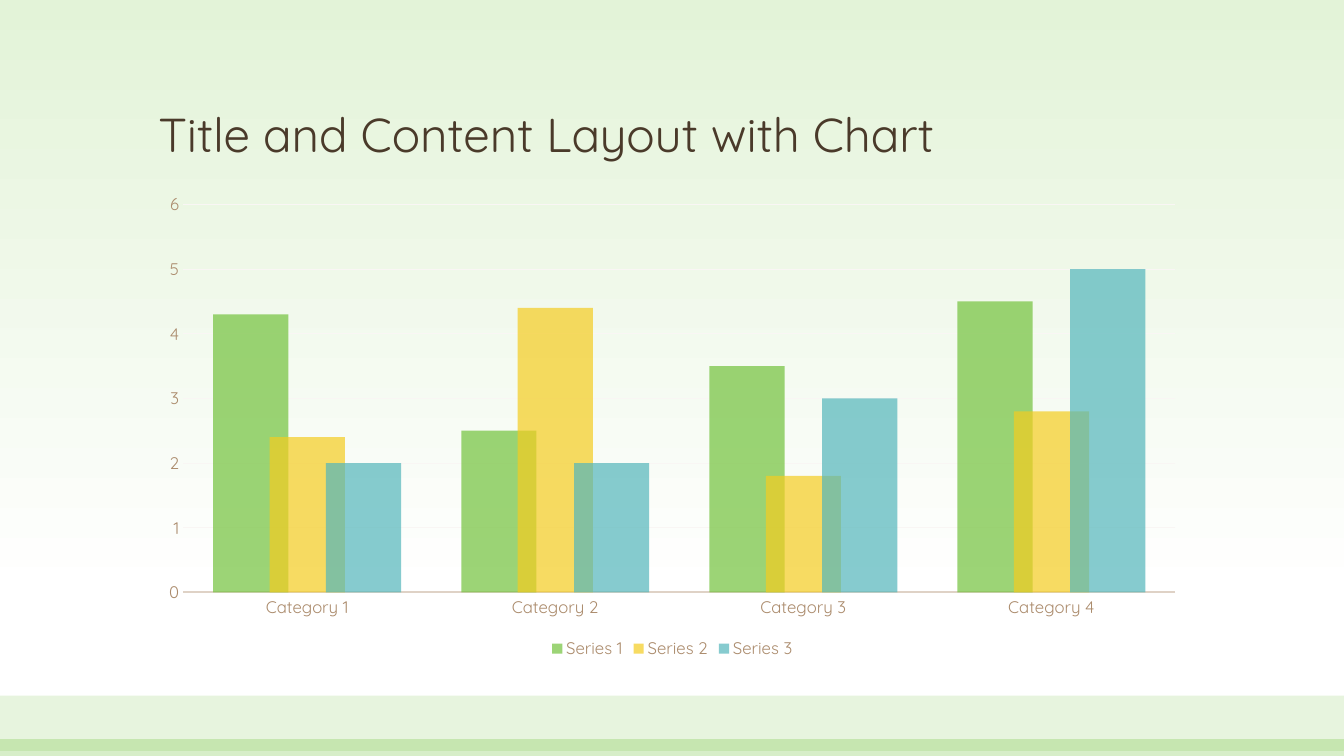
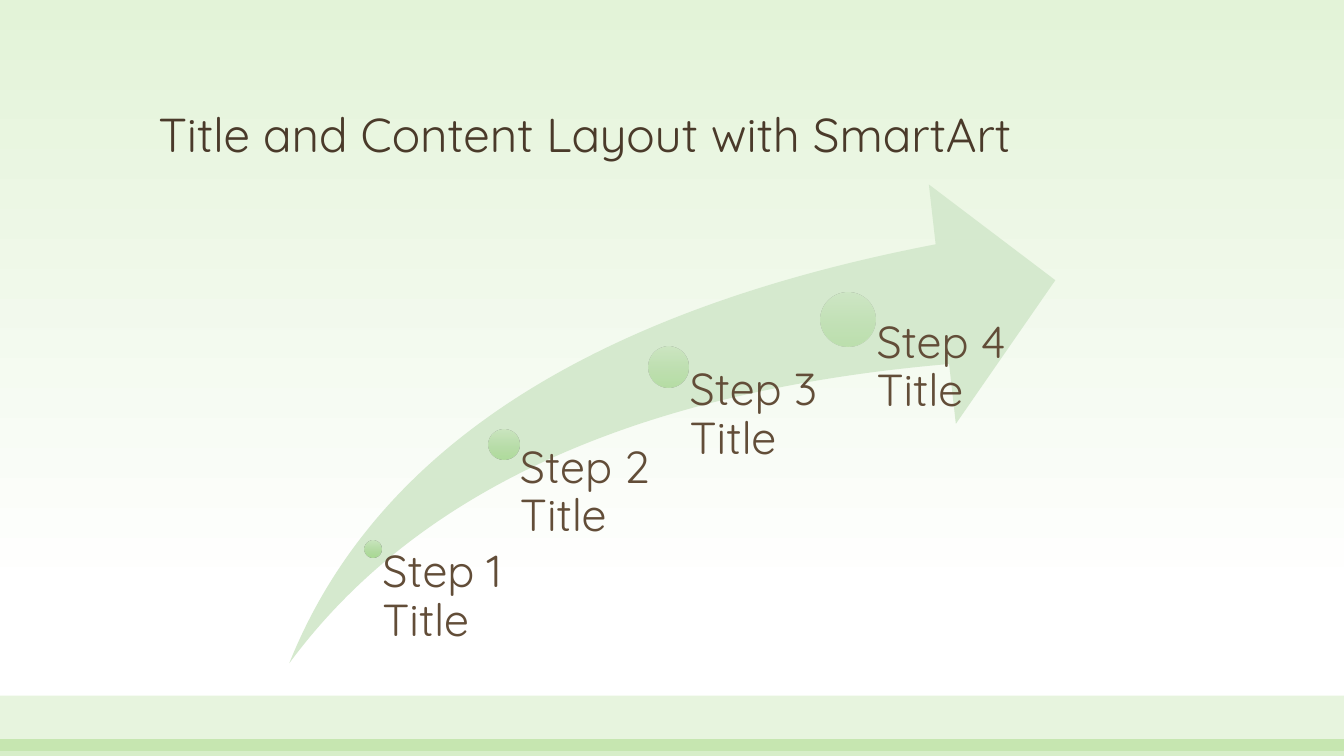
from lxml.etree import SubElement
from pptx import Presentation
from pptx.chart.data import CategoryChartData
from pptx.dml.color import RGBColor
from pptx.enum.chart import XL_CHART_TYPE as ChartType
from pptx.enum.chart import XL_LEGEND_POSITION as LegendPosition
from pptx.enum.chart import XL_TICK_MARK as TickMark
from pptx.enum.shapes import MSO_SHAPE as Preset
from pptx.enum.text import MSO_ANCHOR as Anchor
from pptx.enum.text import MSO_AUTO_SIZE as AutoSize
from pptx.enum.text import PP_ALIGN as Align
from pptx.oxml.ns import qn
from pptx.util import Pt

COLORS = {
    "title": "4A3A2A", "body": "624D38", "label": "AB8B6C",
    "axis": "DFD2C6", "grid": "F9F6F4",
    "green": "72C23C", "yellow": "F4CC20", "teal": "53B6BB",
    "sky": "E3F3D8", "white": "FFFFFF", "arrow": "D5E9CE",
    "dot_top": "C8E5BC", "dot_middle": "B3DBA2", "dot_bottom": "A4D78D",
}
FONT = "Quicksand"
WIDTH, HEIGHT = 960, 540
LEFT, CONTENT_TOP, CONTENT_WIDTH, CONTENT_HEIGHT = 105.84, 131.76, 748.8, 342
CONTENT_BOTTOM = CONTENT_TOP + CONTENT_HEIGHT


def points(*lengths):
    return [Pt(length) for length in lengths]


def rgb(name):
    return RGBColor.from_string(COLORS[name])


def set_alpha(color_element, percent):
    SubElement(color_element, qn("a:alpha")).set("val", str(percent * 1000))


class Deck:
    def __init__(self):
        self.presentation = Presentation()
        self.presentation.slide_width = Pt(WIDTH)
        self.presentation.slide_height = Pt(HEIGHT)
        self.slide = None
        master = self.presentation.slide_master
        self.gradient(master.background.fill, master.element,
                      [(0, "sky"), (79, "white")])

    def add_slide(self, title):
        layout = self.presentation.slide_layouts[5]
        self.slide = self.presentation.slides.add_slide(layout)
        shape = self.slide.shapes.title
        shape.left, shape.top, shape.width, shape.height = points(
            LEFT, 34.56, CONTENT_WIDTH, 85.68)
        self.set_text(shape.text_frame, title, 34, "title", Anchor.BOTTOM)

    def add_master_bands(self, bands):
        tree = self.presentation.slide_master.shapes.element
        for number, (top, height, alpha) in enumerate(bands, start=20):
            band = self.shape(Preset.RECTANGLE, 0, top, WIDTH, height)
            self.solid(band.fill, band.element, "green", alpha)
            band.element.nvSpPr.cNvPr.set("id", str(number))
            tree.append(band.element)

    def solid(self, fill, element, color, alpha=100):
        fill.solid()
        fill.fore_color.rgb = rgb(color)
        if alpha < 100:
            set_alpha(next(element.iter(qn("a:srgbClr"))), alpha)

    def gradient(self, fill, element, stops, alpha=100):
        fill.gradient()
        fill.gradient_angle = 270
        stop_list = next(element.iter(qn("a:gsLst")))
        for stop in list(stop_list):
            stop_list.remove(stop)
        for position, color in stops:
            stop = SubElement(stop_list, qn("a:gs"))
            stop.set("pos", str(position * 1000))
            color_element = SubElement(stop, qn("a:srgbClr"))
            color_element.set("val", COLORS[color])
            if alpha < 100:
                set_alpha(color_element, alpha)

    def font(self, font, size, color):
        font.name, font.size = FONT, Pt(size)
        font.color.rgb = rgb(color)

    def set_text(self, frame, text, size, color, anchor=Anchor.TOP):
        frame.text = text
        frame.word_wrap = True
        frame.auto_size = AutoSize.NONE
        frame.vertical_anchor = anchor
        paragraph = frame.paragraphs[0]
        paragraph.alignment = Align.LEFT
        paragraph.line_spacing = 0.9
        self.font(paragraph.font, size, color)

    def shape(self, preset, left, top, width, height):
        shape = self.slide.shapes.add_shape(
            preset, *points(left, top, width, height))
        shape.shadow.inherit = False
        shape.line.fill.background()
        return shape

    def text(self, text, left, top, width, height, inset):
        box = self.slide.shapes.add_textbox(*points(left, top, width, height))
        frame = box.text_frame
        frame.margin_left = Pt(inset)
        frame.margin_top = frame.margin_right = frame.margin_bottom = 0
        self.set_text(frame, text, 32, "body")

    def swoosh(self, left, top, width, height):
        arrow = self.shape(Preset.SWOOSH_ARROW, left, top, width, height)
        arrow.adjustments[0] = arrow.adjustments[1] = 0.25
        self.solid(arrow.fill, arrow.element, "arrow")

    def step(self, text, center_x, center_y, diameter, alpha, width):
        radius = diameter / 2
        dot = self.shape(Preset.OVAL, center_x - radius, center_y - radius,
                         diameter, diameter)
        self.gradient(dot.fill, dot.element, [
            (0, "dot_top"), (50, "dot_middle"), (100, "dot_bottom")], alpha)
        self.text(text, center_x, center_y, width,
                  CONTENT_BOTTOM - center_y, diameter * 0.53)

    def column_chart(self, categories, series_rows):
        data = CategoryChartData()
        data.categories = categories
        for name, values, color in series_rows:
            data.add_series(name, values)
        chart = self.slide.shapes.add_chart(
            ChartType.COLUMN_CLUSTERED,
            *points(LEFT, CONTENT_TOP, CONTENT_WIDTH, CONTENT_HEIGHT),
            data).chart
        chart.has_title = False
        self.font(chart.font, 10, "body")
        chart.has_legend = True
        chart.legend.position = LegendPosition.BOTTOM
        chart.legend.include_in_layout = False
        self.font(chart.legend.font, 12, "label")

        plot = chart.plots[0]
        plot.gap_width, plot.overlap = 80, 25
        plot.vary_by_categories = False
        elements = chart.element.iter(qn("c:ser"))
        for series, element, row in zip(plot.series, elements, series_rows):
            series.invert_if_negative = False
            self.solid(series.format.fill, element, row[2], 70)

        category_axis, value_axis = chart.category_axis, chart.value_axis
        for axis in (category_axis, value_axis):
            axis.major_tick_mark = axis.minor_tick_mark = TickMark.NONE
            self.font(axis.tick_labels.font, 12, "label")
        value_axis.minimum_scale, value_axis.maximum_scale = 0, 6
        value_axis.major_unit = 1
        value_axis.format.line.fill.background()
        for line, color, width in (
                (category_axis.format.line, "axis", 1.25),
                (value_axis.major_gridlines.format.line, "grid", 0.75)):
            line.color.rgb = rgb(color)
            line.width = Pt(width)


deck = Deck()

deck.add_slide("Title and Content Layout with Chart")
deck.add_master_bands([(496.8, 39.6, 17), (528, 12, 28)])
deck.column_chart(
    [f"Category {number}" for number in range(1, 5)],
    [("Series 1", (4.3, 2.5, 3.5, 4.5), "green"),
     ("Series 2", (2.4, 4.4, 1.8, 2.8), "yellow"),
     ("Series 3", (2, 2, 3, 5), "teal")])

deck.add_slide("Title and Content Layout with SmartArt")
deck.swoosh(206.64, CONTENT_TOP, 547.2, CONTENT_HEIGHT)
steps = [
    (266.6, 392.2, 12.4, 90, 93.6),
    (360, 317.5, 21.6, 77, 115.2),
    (477.4, 262.1, 28.8, 63, 115.2),
    (605.5, 228.2, 38.9, 50, 115.2),
]
for number, step in enumerate(steps, start=1):
    deck.step(f"Step {number} Title", *step)

deck.presentation.save("out.pptx")
